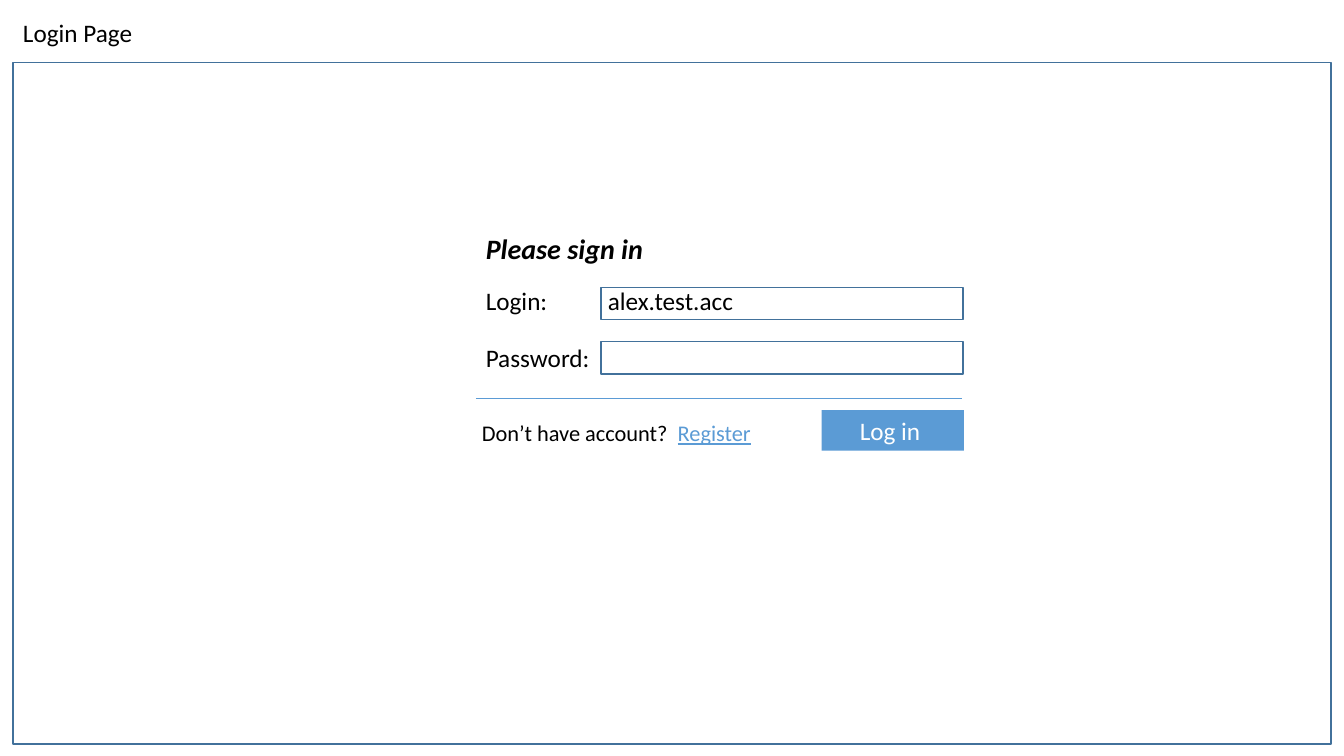
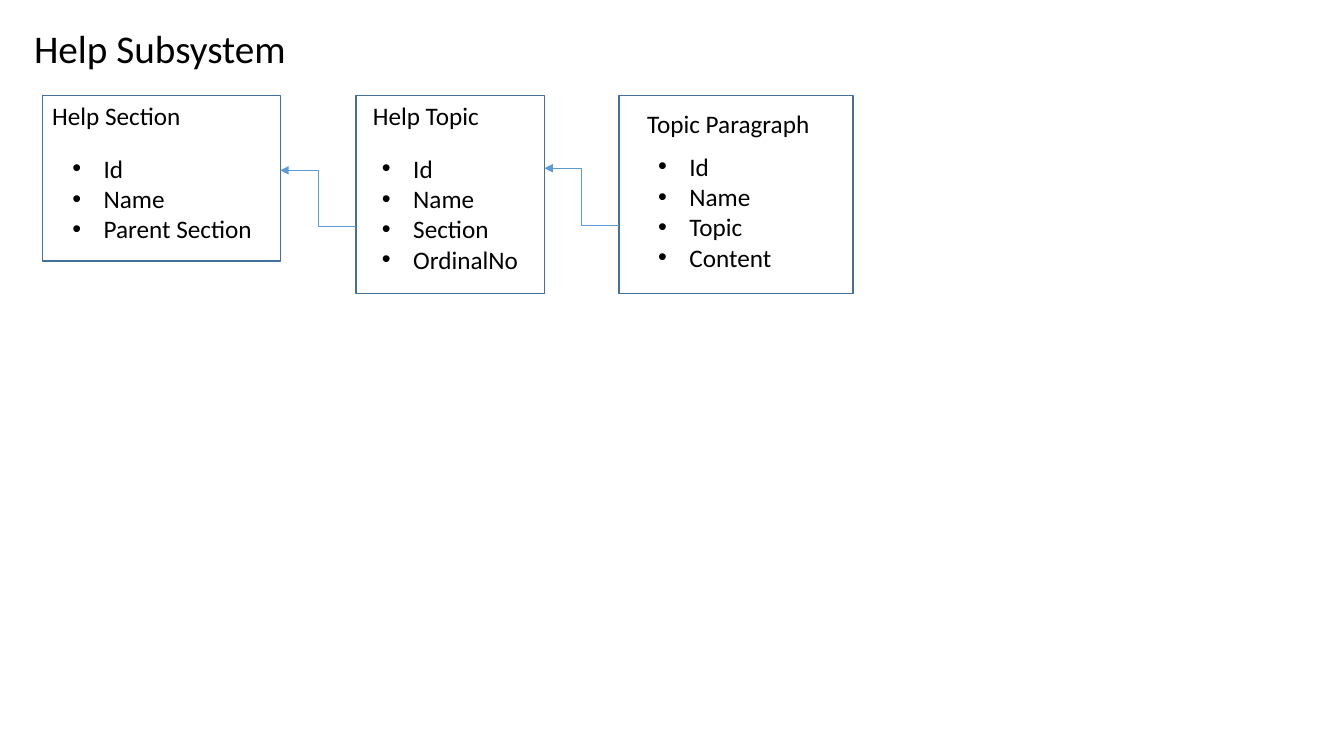
from dataclasses import dataclass

from lxml.etree import SubElement
from pptx import Presentation
from pptx.dml.color import RGBColor
from pptx.enum.shapes import MSO_CONNECTOR as Conn, MSO_SHAPE as Shp
from pptx.oxml.ns import qn
from pptx.shapes.connector import Connector
from pptx.slide import Slide
from pptx.util import Inches, Pt

FONT = "Calibri"
COLORS = {"text": "000000", "white": "FFFFFF", "accent": "5B9BD5", "outline": "42719B"}
BULLET_INDENT = Inches(0.31)


@dataclass
class Run:
    text: str
    color: str = "text"
    bold: bool = False
    italic: bool = False
    underline: bool = False


@dataclass
class Label:
    left: float
    top: float
    width: float
    height: float
    runs: list[Run]
    size: int = 18


@dataclass
class Entity:
    left: float
    width: float
    height: float
    title: Label
    fields: Label


@dataclass
class Link:
    source: Entity
    target: Entity
    start_y: float
    end_y: float


def rgb(name: str) -> RGBColor:
    return RGBColor.from_string(COLORS[name])


def add_label(s: Slide, label: Label, bullets: bool = False) -> None:
    """Draw the runs on one line, or each as its own bullet."""
    box = s.shapes.add_textbox(Inches(label.left), Inches(label.top),
                               Inches(label.width), Inches(label.height))
    tf = box.text_frame
    tf.word_wrap = True
    p = tf.paragraphs[0]
    for i, run in enumerate(label.runs):
        if bullets:
            p = tf.add_paragraph() if i else p
            pPr = p._p.get_or_add_pPr()
            pPr.set("marL", str(BULLET_INDENT))
            pPr.set("indent", str(-BULLET_INDENT))
            SubElement(pPr, qn("a:buFont"), typeface="Arial")
            SubElement(pPr, qn("a:buChar"), char="•")
        r = p.add_run()
        r.text = run.text
        r.font.name = FONT
        r.font.size = Pt(label.size)
        r.font.bold = run.bold
        r.font.italic = run.italic
        r.font.underline = run.underline
        r.font.color.rgb = rgb(run.color)


def add_box(s: Slide, left: float, top: float, width: float, height: float,
            filled: bool = False) -> None:
    """Draw an outlined frame, or a solid accent block."""
    sp = s.shapes.add_shape(Shp.RECTANGLE, Inches(left), Inches(top),
                            Inches(width), Inches(height))
    sp.shadow.inherit = False
    if filled:
        sp.fill.solid()
        sp.fill.fore_color.rgb = rgb("accent")
        sp.line.fill.background()
    else:
        sp.fill.background()
        sp.line.color.rgb = rgb("outline")
        sp.line.width = Pt(1)


def add_line(s: Slide, kind: Conn, x1: float, y1: float, x2: float, y2: float) -> Connector:
    line = s.shapes.add_connector(kind, Inches(x1), Inches(y1), Inches(x2), Inches(y2))
    line.line.color.rgb = rgb("accent")
    line.line.width = Pt(0.75)
    SubElement(line._element.spPr, qn("a:effectLst"))
    return line


def add_entity(s: Slide, entity: Entity) -> None:
    add_box(s, entity.left, ENTITY_TOP, entity.width, entity.height)
    add_label(s, entity.title)
    add_label(s, entity.fields, bullets=True)


def add_link(s: Slide, link: Link) -> None:
    """Point from the left edge of the source to the right edge of the target."""
    arrow = add_line(s, Conn.ELBOW, link.source.left, link.start_y,
                     link.target.left + link.target.width, link.end_y)
    SubElement(arrow.line._get_or_add_ln(), qn("a:tailEnd"), type="triangle")


# Login form content
FORM_LEFT = 4.72
FIELD_LEFT, FIELD_WIDTH, FIELD_HEIGHT = 5.96, 3.59, 0.32
FIELD_TOPS = (2.85, 3.39)
LOGIN_LABELS = [
    Label(0.13, 0.12, 5.26, 0.4, [Run("Login Page")]),
    Label(FORM_LEFT, 2.25, 1.78, 0.44,
          [Run("Please sign in", bold=True, italic=True)], size=20),
    Label(FORM_LEFT, 2.78, 0.87, 0.4, [Run("Login:")]),
    Label(5.93, 2.78, 3.01, 0.4, [Run("alex.test.acc")]),
    Label(FORM_LEFT, 3.35, 1.3, 0.4, [Run("Password:")]),
    Label(8.43, 4.07, 1.07, 0.4, [Run("Log in", "white")]),
    Label(4.68, 4.11, 3.28, 0.37,
          [Run("Don’t have account?  "), Run("Register", "accent", underline=True)], size=16),
]

# Help data model
ENTITY_TOP = 0.95
SECTION = Entity(
    0.42, 2.36, 1.64,
    Label(0.42, 0.95, 2.13, 0.4, [Run("Help Section")]),
    Label(0.62, 1.47, 2.33, 1.01, [Run("Id"), Run("Name"), Run("Parent Section")]))
TOPIC = Entity(
    3.53, 1.87, 1.96,
    Label(3.6, 0.95, 2.7, 0.4, [Run("Help Topic")]),
    Label(3.69, 1.47, 1.59, 1.31, [Run("Id"), Run("Name"), Run("Section"), Run("OrdinalNo")]))
PARAGRAPH = Entity(
    6.14, 2.32, 1.96,
    Label(6.32, 1.03, 1.96, 0.4, [Run("Topic Paragraph")]),
    Label(6.43, 1.45, 1.37, 1.31, [Run("Id"), Run("Name"), Run("Topic"), Run("Content")]))
LINKS = [Link(TOPIC, SECTION, 2.25, 1.69), Link(PARAGRAPH, TOPIC, 2.24, 1.67)]


def build_login(s: Slide) -> None:
    # Page frame, input fields, divider and button
    add_box(s, 0.13, 0.62, 13.07, 6.76)
    for top in FIELD_TOPS:
        add_box(s, FIELD_LEFT, top, FIELD_WIDTH, FIELD_HEIGHT)
    add_line(s, Conn.STRAIGHT, FORM_LEFT, 3.95, 9.54, 3.95)
    add_box(s, 8.15, 4.07, 1.41, 0.4, filled=True)
    # Wording
    for label in LOGIN_LABELS:
        add_label(s, label)


def build_help(s: Slide) -> None:
    add_label(s, Label(0.24, 0.19, 7.27, 0.57, [Run("Help Subsystem")], size=28))
    for entity in (SECTION, TOPIC, PARAGRAPH):
        add_entity(s, entity)
    for link in LINKS:
        add_link(s, link)


def main() -> None:
    prs = Presentation()
    prs.slide_width, prs.slide_height = Inches(13.33), Inches(7.5)
    for build in (build_login, build_help):
        build(prs.slides.add_slide(prs.slide_layouts[6]))
    prs.save("out.pptx")


if __name__ == "__main__":
    main()
